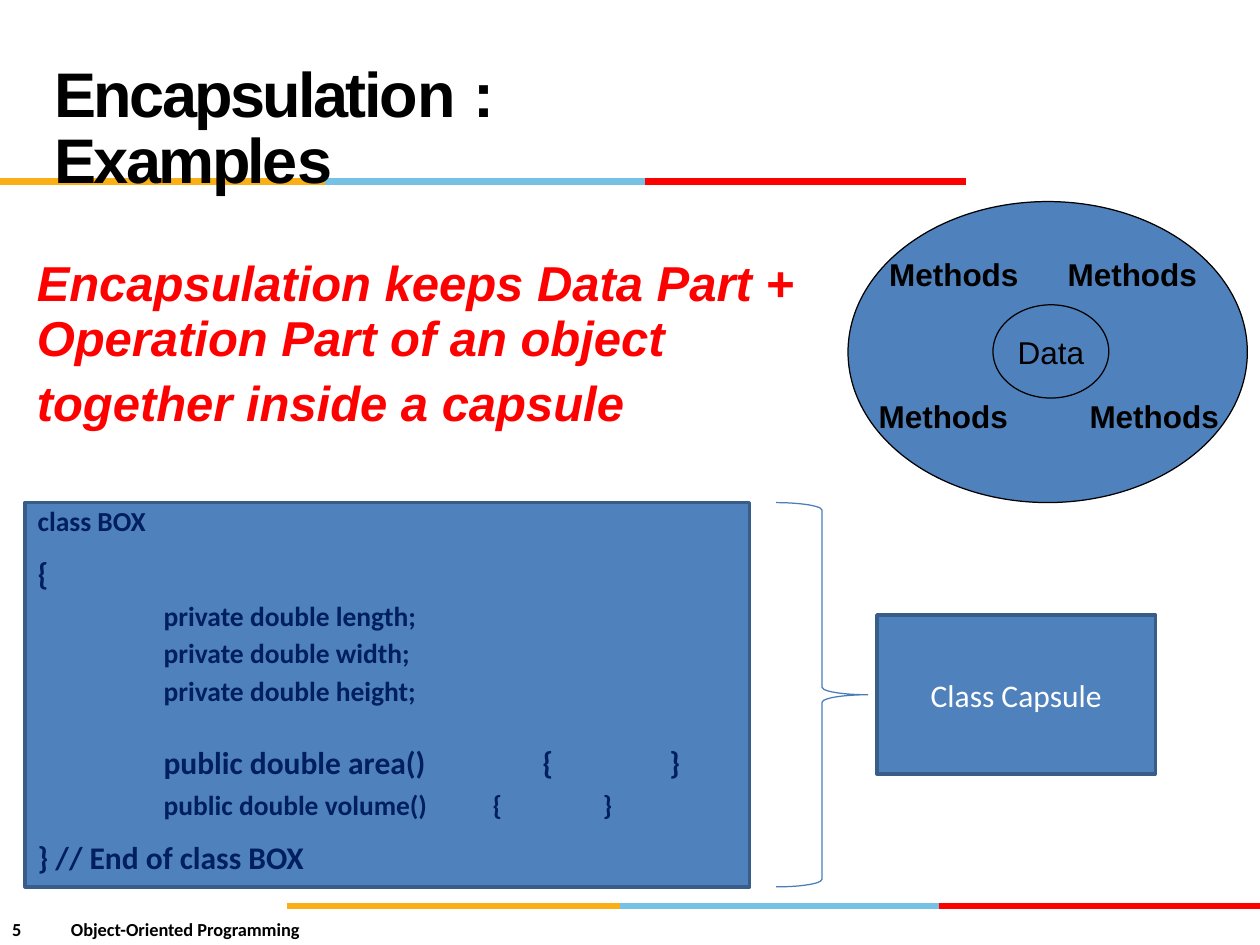
from lxml import etree
from pptx import Presentation
from pptx.dml.color import RGBColor
from pptx.enum import shapes, text
from pptx.oxml.ns import qn
from pptx.util import Pt

COLORS = {
    "orange": "FBAF17", "sky": "76C2E4", "red": "FF0000",
    "blue": "4F81BC", "edge": "385D89", "brace": "497DBA",
    "navy": "001F5F", "black": "000000", "white": "FFFFFF",
}
SHAPE = shapes.MSO_SHAPE


def rgb(name):
    return RGBColor.from_string(COLORS[name])


def clear_frame(frame, wrap=True):
    frame.word_wrap = wrap
    frame.margin_left = frame.margin_right = 0
    frame.margin_top = frame.margin_bottom = 0
    return frame


def add_box(slide, left, top, width, height):
    box = slide.shapes.add_textbox(Pt(left), Pt(top), Pt(width), Pt(height))
    return clear_frame(box.text_frame)


def add_run(paragraph, words, size, color, font="Arial", bold=True,
            italic=False, tracking=0):
    run = paragraph.add_run()
    run.text = words
    run.font.size, run.font.name = Pt(size), font
    run.font.bold, run.font.italic = bold, italic
    run.font.color.rgb = rgb(color)
    if tracking:
        run._r.get_or_add_rPr().set("spc", str(int(tracking * 100)))


def add_panel(slide, kind, box, fill, line, weight):
    left, top, width, height = box
    panel = slide.shapes.add_shape(kind, Pt(left), Pt(top), Pt(width), Pt(height))
    panel.shadow.inherit = False
    if fill:
        panel.fill.solid()
        panel.fill.fore_color.rgb = rgb(fill)
    else:
        panel.fill.background()
    panel.line.color.rgb = rgb(line)
    panel.line.width = Pt(weight)
    return panel


def center_label(panel, words, color, font):
    frame = clear_frame(panel.text_frame, wrap=False)
    frame.vertical_anchor = text.MSO_ANCHOR.MIDDLE
    label = frame.paragraphs[0]
    label.alignment = text.PP_ALIGN.CENTER
    add_run(label, words, 18, color, font, bold=False)


def color_band(slide, y, stops):
    """Draw the orange, sky and red rule through four x positions."""
    for color, start, end in zip(("orange", "sky", "red"), stops, stops[1:]):
        rule = slide.shapes.add_connector(
            shapes.MSO_CONNECTOR.STRAIGHT, Pt(start), Pt(y), Pt(end), Pt(y))
        rule.line.color.rgb = rgb(color)
        rule.line.width = Pt(3.8)
        etree.SubElement(rule._element.spPr, qn("a:effectLst"))


def title(slide, left, top, width, height):
    heading = add_box(slide, left, top, width, height).paragraphs[0]
    heading.line_spacing = Pt(37.8)
    for words, tracking in (("Encapsulatio", -1.5), ("n : ", 0),
                            ("Example", -1.5), ("s", 0)):
        add_run(heading, words, 36, "black", tracking=tracking)


def statement(slide, left, top, width, height):
    frame = add_box(slide, left, top, width, height)
    lines = (("Encapsulation keeps Data Part +", Pt(29.6), 0),
             ("Operation Part of an object", 0.96, 0),
             ("together inside a capsule", Pt(29.6), 6.5))
    for index, (words, spacing, before) in enumerate(lines):
        line = frame.add_paragraph() if index else frame.paragraphs[0]
        line.line_spacing = spacing
        if before:
            line.space_before = Pt(before)
        add_run(line, words, 28, "red", italic=True)


def object_diagram(slide, left, top, width, height):
    """Data core surrounded by four Methods labels."""
    add_panel(slide, SHAPE.OVAL, (left, top, width, height), "blue", "black", 0.72)
    core = add_panel(slide, SHAPE.OVAL, (left + 82.8, top + 59, 66.2, 53.3),
                     "blue", "black", 0.72)
    center_label(core, "Data", "black", "Arial")
    for dx, dy in ((23.5, 32.5), (125.5, 32.5), (17.5, 114), (138, 114)):
        method = add_box(slide, left + dx, top + dy, 80, 20).paragraphs[0]
        method.line_spacing = Pt(19.4)
        add_run(method, "Methods", 18, "black")


def set_tabs(paragraph, stops):
    tabs = etree.SubElement(paragraph._p.get_or_add_pPr(), qn("a:tabLst"))
    for stop in stops:
        etree.SubElement(tabs, qn("a:tab"), pos=str(Pt(stop)), algn="l")


def code_panel(slide, left, top, width, height):
    small, large, member = 15.7, 18, 72
    code = (
        ("class BOX", small, Pt(19.6), 0, ()),
        ("{", large, 1.02, 9.4, ()),
        ("\tprivate double length;", small, Pt(21.6), 1.1, (member,)),
        ("\tprivate double width;", small, Pt(21.6), 0, (member,)),
        ("\tprivate double height;", small, Pt(21.6), 0, (member,)),
        ("\tpublic double area()\t{\t}", large, 1.02, 20.1, (member, 288.5, 361)),
        ("\tpublic double volume()\t{\t}", small, Pt(21.6), 1.1, (member, 260, 323)),
        ("} // End of class BOX", large, 1.02, 9.4, ()),
    )
    panel = add_panel(slide, SHAPE.RECTANGLE, (left, top, width, height),
                      "blue", "edge", 2.04)
    frame = clear_frame(panel.text_frame)
    frame.margin_left = Pt(7.2)
    frame.vertical_anchor = text.MSO_ANCHOR.TOP
    for index, (words, size, spacing, before, stops) in enumerate(code):
        line = frame.add_paragraph() if index else frame.paragraphs[0]
        line.alignment = text.PP_ALIGN.LEFT
        line.line_spacing = spacing
        if before:
            line.space_before = Pt(before)
        if stops:
            set_tabs(line, stops)
        add_run(line, words, size, "navy", "Calibri")


def capsule(slide, left, top, width, height):
    """Brace over the full height, pointing at the capsule panel."""
    brace = add_panel(slide, SHAPE.RIGHT_BRACE, (left, top, 52.4, height),
                      None, "brace", 0.72)
    brace.adjustments[0] = 0.083
    panel = add_panel(slide, SHAPE.RECTANGLE,
                      (left + 57.6, top + 64.2, width - 57.6, 90.8),
                      "blue", "edge", 2.04)
    center_label(panel, "Class Capsule", "white", "Calibri")


def footer(slide, left, top, width, height):
    for words, dx in (("5", 0), ("Object-Oriented Programming", 33.6)):
        note = add_box(slide, left + dx, top, width - dx, height).paragraphs[0]
        note.line_spacing = Pt(13.2)
        add_run(note, words, 10.5, "black", "Calibri")


def main():
    deck = Presentation()
    deck.slide_width, deck.slide_height = Pt(720), Pt(540)
    slide = deck.slides.add_slide(deck.slide_layouts[6])
    color_band(slide, 517.7, (164, 354.2, 536.5, 720))
    color_band(slide, 103.7, (0, 186, 368.8, 552))
    title(slide, 31.2, 36.7, 418, 38)
    statement(slide, 21, 148.3, 455, 97)
    object_diagram(slide, 484.6, 115.2, 228.2, 172)
    code_panel(slide, 14.4, 287.2, 414, 219.6)
    capsule(slide, 443.5, 287.2, 216.7, 219.6)
    footer(slide, 7, 524.2, 200, 13.7)
    deck.save("out.pptx")


if __name__ == "__main__":
    main()
